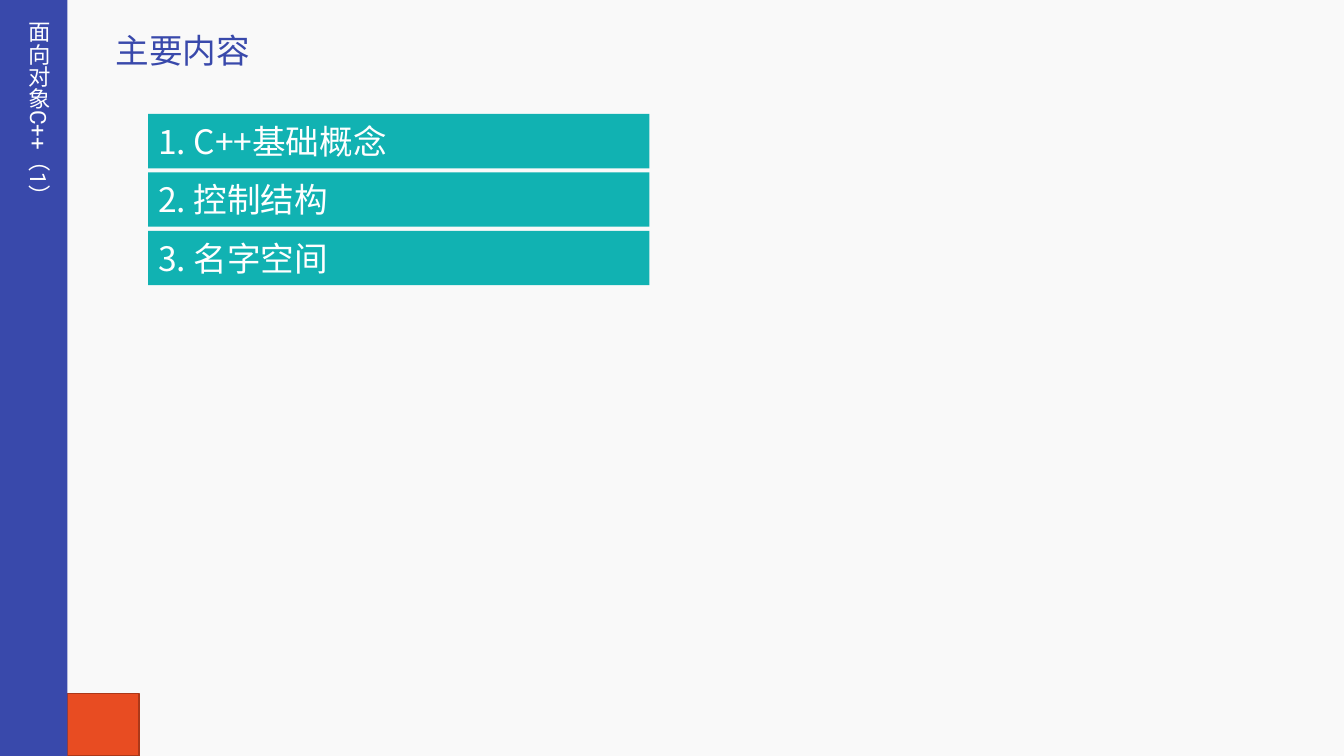
from dataclasses import dataclass

from lxml.etree import SubElement
from pptx import Presentation
from pptx.dml.color import RGBColor
from pptx.enum.shapes import MSO_SHAPE
from pptx.enum.text import MSO_ANCHOR, MSO_AUTO_SIZE, PP_ALIGN
from pptx.oxml.ns import qn
from pptx.util import Inches, Pt


@dataclass(frozen=True)
class Theme:
    background: RGBColor = RGBColor.from_string("F9F9F9")
    indigo: RGBColor = RGBColor.from_string("3949AB")
    teal: RGBColor = RGBColor.from_string("11B2B2")
    orange: RGBColor = RGBColor.from_string("E84C22")
    orange_edge: RGBColor = RGBColor.from_string("AC3819")
    white: RGBColor = RGBColor.from_string("FFFFFF")
    latin_font: str = "Roboto"
    cjk_font: str = "Noto Sans CJK SC"
    heading: int = 24
    label: int = 16


theme = Theme()
prs = Presentation()
prs.slide_width = Inches(13.33)
prs.slide_height = Inches(7.5)
s = prs.slides.add_slide(prs.slide_layouts[6])
s.background.fill.solid()
s.background.fill.fore_color.rgb = theme.background


def add_block(left, top, width, height, color):
    """Add a borderless filled rectangle, measured in inches."""
    sp = s.shapes.add_shape(MSO_SHAPE.RECTANGLE, Inches(left), Inches(top),
                            Inches(width), Inches(height))
    sp.shadow.inherit = False
    sp.fill.solid()
    sp.fill.fore_color.rgb = color
    sp.line.fill.background()
    return sp


def write_text(sp, text, size, font, color):
    """Write one left-aligned line, with the CJK font for Chinese characters."""
    tf = sp.text_frame
    tf.text = text
    p = tf.paragraphs[0]
    p.alignment = PP_ALIGN.LEFT
    r = p.runs[0]
    r.font.size = Pt(size)
    r.font.color.rgb = color
    r.font.name = font
    SubElement(r.font._element, qn("a:ea"), typeface=theme.cjk_font)
    return tf


# Corner square and sidebar
corner = add_block(0.67, 6.88, 0.71, 0.62, theme.orange)
corner.line.color.rgb = theme.orange_edge
corner.line.width = Pt(1)
add_block(0, 0, 0.67, 7.5, theme.indigo)

# Title and vertical course name
title = s.shapes.add_textbox(Inches(1.05), Inches(0.25), Inches(1.64), Inches(0.5))
course = s.shapes.add_textbox(Inches(0.1), Inches(0.11), Inches(0.47), Inches(2))
for box, text, size, color in (
    (title, "主要内容", theme.heading, theme.indigo),
    (course, "面向对象C++（1）", theme.label, theme.white),
):
    tf = write_text(box, text, size, theme.latin_font, color)
    tf.word_wrap = False
    tf.auto_size = MSO_AUTO_SIZE.SHAPE_TO_FIT_TEXT
course.text_frame._txBody.bodyPr.set("vert", "eaVert")

# Agenda bars
topics = ["1. C++基础概念", "2. 控制结构", "3. 名字空间"]
for i, topic in enumerate(topics):
    bar = add_block(1.47, 1.13 + 0.58 * i, 4.97, 0.54, theme.teal)
    tf = write_text(bar, topic, theme.heading, theme.cjk_font, theme.white)
    tf.vertical_anchor = MSO_ANCHOR.MIDDLE

prs.save("out.pptx")
